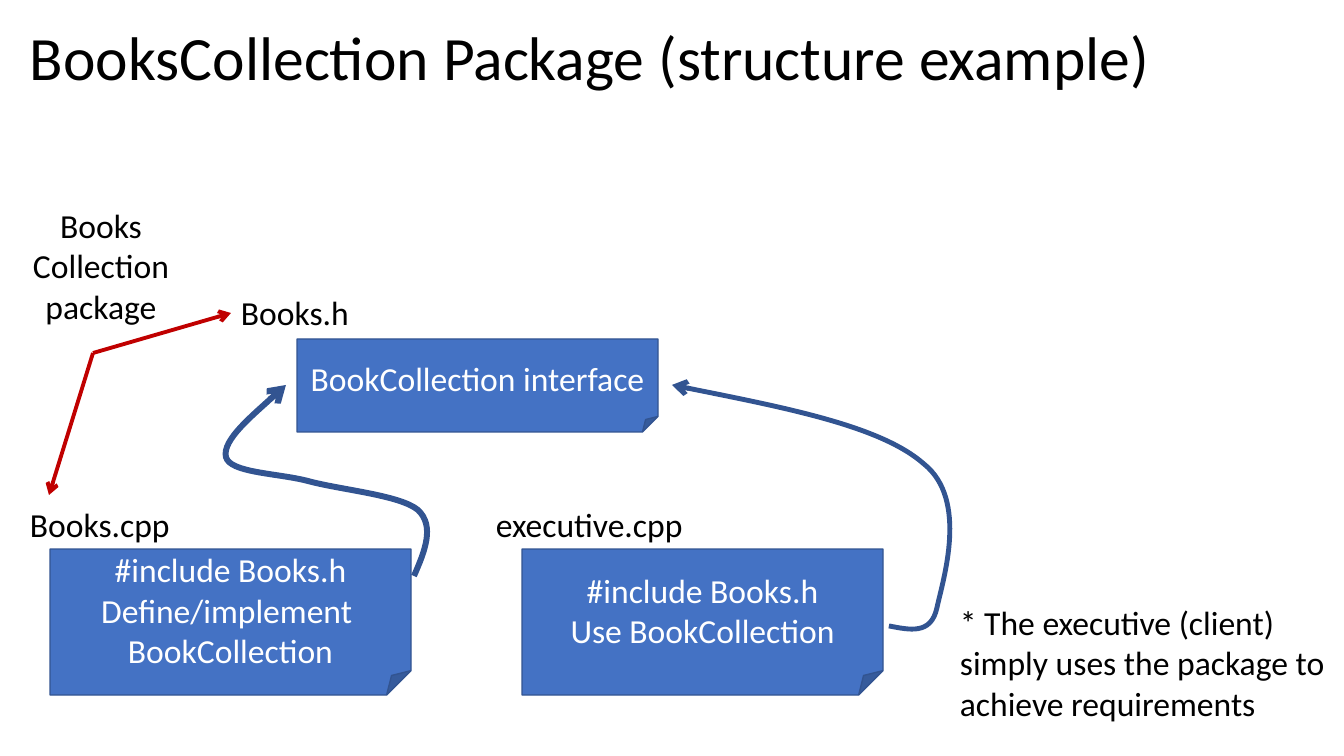
from lxml import etree
from pptx import Presentation
from pptx.dml.color import RGBColor
from pptx.enum.shapes import MSO_CONNECTOR, MSO_SHAPE
from pptx.enum.text import MSO_ANCHOR, MSO_AUTO_SIZE, PP_ALIGN
from pptx.oxml.ns import qn
from pptx.util import Pt

PX = 914400 / 100.8
LEFT, CENTER = PP_ALIGN.LEFT, PP_ALIGN.CENTER
TOP, MIDDLE = MSO_ANCHOR.TOP, MSO_ANCHOR.MIDDLE
FIT, NO_FIT = MSO_AUTO_SIZE.SHAPE_TO_FIT_TEXT, MSO_AUTO_SIZE.NONE
FOLDED, STRAIGHT = MSO_SHAPE.FOLDED_CORNER, MSO_CONNECTOR.STRAIGHT
BLACK, WHITE, BLUE, NAVY, RED = "000000", "FFFFFF", "4472C4", "325491", "C00000"

# Content: boxes are left, top, width, height in px
TITLE = ("BooksCollection Package (structure example)", (20, 16, 1159, 89))
FILES = [
    (["BookCollection interface"], (297, 339, 361, 93)),
    (["#include Books.h", "Define/implement ", "BookCollection"], (50, 549, 361, 146)),
    (["#include Books.h", "Use BookCollection"], (522, 549, 361, 146)),
]
LABELS = [
    (["Books.h"], (231, 287, 145, 50), LEFT),
    (["Books.cpp"], (20, 499, 170, 50), LEFT),
    (["executive.cpp"], (486, 499, 244, 50), LEFT),
    (["Books Collection", "package"], (12, 200, 178, 132), CENTER),
    (["* The executive (client) simply uses the package to achieve requirements"],
     (950, 597, 416, 132), LEFT),
]
# Curves: start, then three Bézier points per segment; right and bottom edge; weight
INCLUDES = [
    ([(414, 576), (425, 551), (435, 526), (418, 510), (400, 495), (341, 490), (308, 481),
      (277, 473), (230, 473), (226, 457), (222, 440), (286, 385), (286, 385)],
     (427, 576), 4.25),
    ([(889, 626), (910, 630), (931, 635), (937, 608), (943, 580), (969, 500), (924, 464),
      (881, 426), (776, 406), (672, 385)], (951, 629), 3.5),
]
PACKAGE_POINT = (93, 353)
PACKAGE_FILES = [(49, 495), (231, 313)]


def emu(*lengths):
    return [round(v * PX) for v in lengths]


def rgb(value):
    return RGBColor.from_string(value)


def write(sp, lines, size=24, color=BLACK, align=LEFT, anchor=TOP, fit=NO_FIT, spacing=None):
    tf = sp.text_frame
    tf.word_wrap = True
    tf.auto_size = fit
    tf.vertical_anchor = anchor
    for i, line in enumerate(lines):
        p = tf.add_paragraph() if i else tf.paragraphs[0]
        p.alignment = align
        p.line_spacing = spacing
        r = p.add_run()
        r.text = line
        r.font.name, r.font.size = "Calibri", Pt(size)
        r.font.color.rgb = rgb(color)


def set_line(sp, color, weight, arrow=True):
    sp.line.color.rgb = rgb(color)
    sp.line.width = Pt(weight)
    if arrow:
        ln = sp.line._get_or_add_ln()
        etree.SubElement(ln, qn("a:tailEnd"), type="arrow")


def add_curve(points, edge, weight):
    builder = s.shapes.build_freeform(*points[0], scale=PX)
    builder.add_line_segments(points[1:], close=False)
    sp = builder.convert_to_shape()
    # Join each three line steps into one Bézier segment
    path = sp._element.find(".//" + qn("a:path"))
    steps = path.findall(qn("a:lnTo"))
    for i in range(0, len(steps), 3):
        curve = etree.SubElement(path, qn("a:cubicBezTo"))
        for step in steps[i:i + 3]:
            curve.append(step[0])
            path.remove(step)
    # Fit the frame to the curve rather than to its control points; the path is in px
    width, height = (end - min(axis) for end, axis in zip(edge, zip(*points)))
    path.set("w", str(width))
    path.set("h", str(height))
    sp.width, sp.height = emu(width, height)
    sp.shadow.inherit = False
    sp.fill.background()
    set_line(sp, NAVY, weight)


prs = Presentation()
prs.slide_width, prs.slide_height = emu(1344, 756)
s = prs.slides.add_slide(prs.slide_layouts[6])

# Title
text, box = TITLE
write(s.shapes.add_textbox(*emu(*box)), [text], size=44, anchor=MIDDLE, spacing=0.9)

# Source files
for lines, box in FILES:
    sp = s.shapes.add_shape(FOLDED, *emu(*box))
    sp.shadow.inherit = False
    sp.fill.solid()
    sp.fill.fore_color.rgb = rgb(BLUE)
    set_line(sp, NAVY, 1, arrow=False)
    write(sp, lines, color=WHITE, align=CENTER, anchor=MIDDLE)

# Include arrows
for points, edge, weight in INCLUDES:
    add_curve(points, edge, weight)

# Package arrows
for target in PACKAGE_FILES:
    sp = s.shapes.add_connector(STRAIGHT, *emu(*PACKAGE_POINT, *target))
    set_line(sp, RED, 2.75)
    etree.SubElement(sp._element.spPr, qn("a:effectLst"))

# File names and notes
for lines, box, align in LABELS:
    write(s.shapes.add_textbox(*emu(*box)), lines, align=align, fit=FIT)

prs.save("out.pptx")
